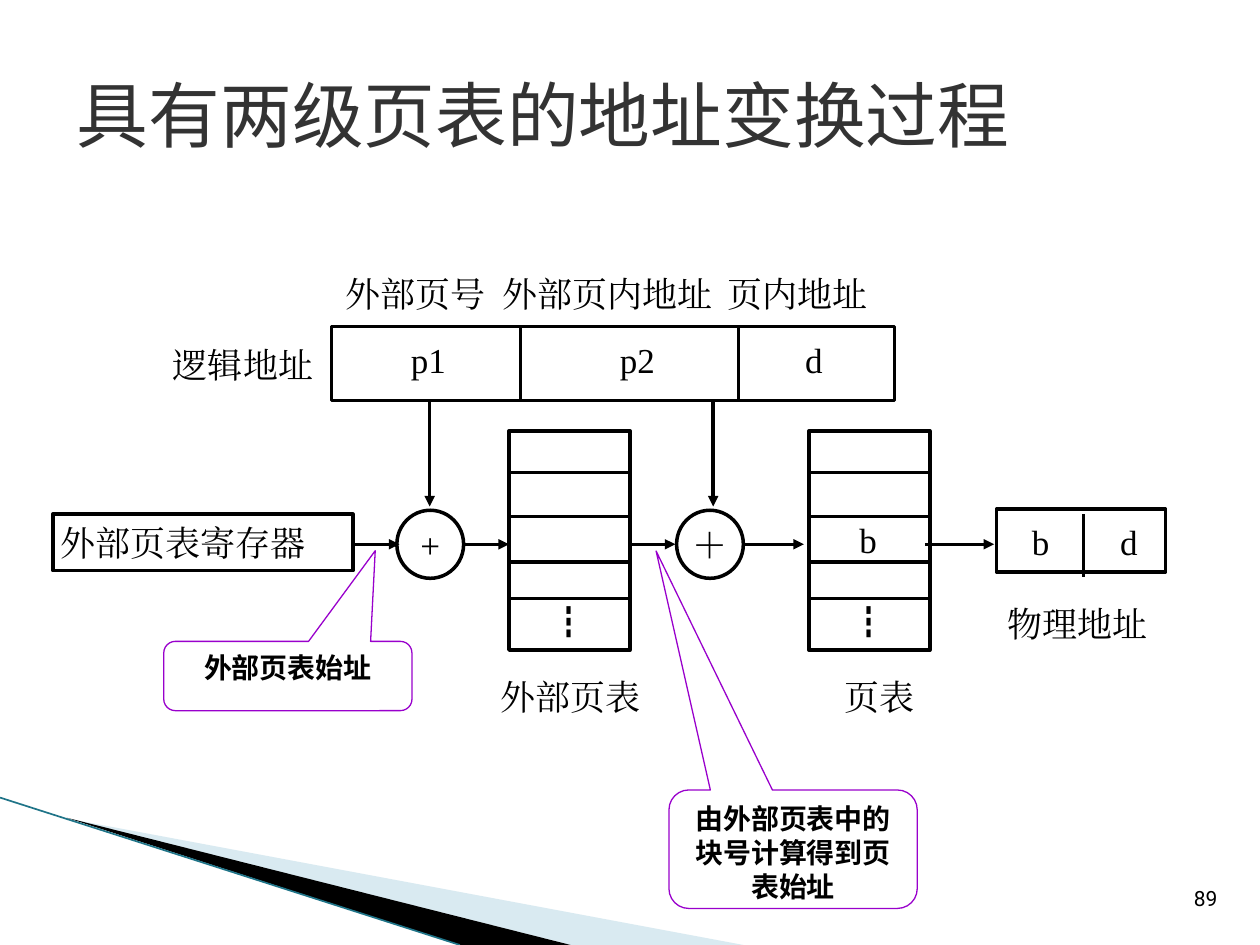
from lxml import etree
from pptx import Presentation
from pptx.dml.color import RGBColor
from pptx.enum.shapes import MSO_CONNECTOR, MSO_SHAPE
from pptx.enum.text import MSO_ANCHOR as ANCHOR, PP_ALIGN as ALIGN
from pptx.oxml.ns import qn
from pptx.util import Inches, Pt

C = {"ink": "000000", "title": "333333", "paper": "FFFFFF", "pale": "A0CBDC",
     "edge": "1F7488", "callout": "9900CC"}
SERIF, SANS = "Times New Roman", "Noto Sans CJK SC"


def write(s, text, font=SERIF, size=20, color="ink", bold=False, align=ALIGN.CENTER,
          anchor=ANCHOR.MIDDLE, inset=(0, 0, 0, 0), wrap=True):
    tf = s.text_frame
    tf.word_wrap = wrap
    tf.vertical_anchor = anchor
    tf.margin_left, tf.margin_top, tf.margin_right, tf.margin_bottom = map(Inches, inset)
    p = tf.paragraphs[0]
    p.alignment = align
    r = p.add_run()
    r.text = text
    r.font.name, r.font.size, r.font.bold = font, Pt(size), bold
    r.font.color.rgb = RGBColor.from_string(C[color])
    etree.SubElement(r.font._element, qn("a:ea"), typeface=font)


def line(x1, y1, x2, y2, color="ink", width=2, arrow=False):
    s = shapes.add_connector(MSO_CONNECTOR.STRAIGHT, *map(Inches, (x1, y1, x2, y2)))
    s.line.color.rgb = RGBColor.from_string(C[color])
    s.line.width = Pt(width)
    if arrow:
        etree.SubElement(s.line._get_or_add_ln(), qn("a:tailEnd"), type="triangle")
    etree.SubElement(s._element.spPr, qn("a:effectLst"))


prs = Presentation()
prs.slide_width, prs.slide_height = Inches(10), Inches(7.5)
slide = prs.slides.add_slide(prs.slide_layouts[5])
shapes = slide.shapes

wedges = [("pale", 40, [(0.55, 6.5), (5.9, 7.5), (4.53, 7.5)]),
          ("ink", 100, [(0.53, 6.49), (4.53, 7.5), (3.65, 7.5)])]
for color, opacity, points in wedges:
    start, *rest = [(Inches(x), Inches(y)) for x, y in points]
    fb = shapes.build_freeform(*start)
    fb.add_line_segments(rest)
    s = fb.convert_to_shape()
    s.shadow.inherit = False
    s.fill.solid()
    s.fill.fore_color.rgb = RGBColor.from_string(C[color])
    s.line.fill.background()
    if opacity < 100:
        rgb = s._element.spPr.find(qn("a:solidFill")).find(qn("a:srgbClr"))
        etree.SubElement(rgb, qn("a:alpha"), val=str(opacity * 1000))
line(0, 6.33, 3.65, 7.5, color="edge", width=0.95)

title = shapes.title
title.left, title.top, title.width, title.height = map(Inches, (0.51, 0.28, 9, 1.25))
write(title, "具有两级页表的地址变换过程", font=SANS, size=41, color="title",
      align=ALIGN.LEFT, inset=(0.1, 0.05, 0.1, 0.05))

TABLES = (4.04, 6.42)
TABLE_W = 0.96
boxes = [
    (MSO_SHAPE.RECTANGLE, 0.42, 4.08, 2.38, 0.45, "外部页表寄存器",
     dict(align=ALIGN.LEFT, inset=(0.06, 0, 0, 0))),
    (MSO_SHAPE.OVAL, 3.15, 4.05, 0.53, 0.54, "+", {}),
    (MSO_SHAPE.OVAL, 5.37, 4.05, 0.53, 0.54, "＋", dict(bold=True)),
    (MSO_SHAPE.RECTANGLE, 2.63, 2.59, 4.47, 0.59, "", {}),
    (MSO_SHAPE.RECTANGLE, 7.91, 4.04, 1.34, 0.5, "", {}),
]
boxes += [(MSO_SHAPE.RECTANGLE, x, 3.42, TABLE_W, 1.74, "", {}) for x in TABLES]
for kind, x, y, w, h, text, fmt in boxes:
    s = shapes.add_shape(kind, *map(Inches, (x, y, w, h)))
    s.shadow.inherit = False
    s.fill.solid()
    s.fill.fore_color.rgb = RGBColor.from_string(C["paper"])
    s.line.color.rgb = RGBColor.from_string(C["ink"])
    s.line.width = Pt(2)
    if text:
        write(s, text, **fmt)

for x in TABLES:
    for y in (3.75, 4.1, 4.46, 4.75):
        line(x, y, x + TABLE_W, y)
for x in (4.13, 5.86):
    line(x, 2.59, x, 3.18)
line(8.6, 4.08, 8.6, 4.58)

for x in (3.41, 5.66):
    line(x, 3.18, x, 4.02, arrow=True)
for x1, x2 in ((2.82, 3.17), (3.67, 4.04), (4.99, 5.36), (5.9, 6.38), (7.34, 7.89)):
    line(x1, 4.32, x2, 4.32, arrow=True)

labels = [
    ("外部页号", 3.3, 2.33, 1.2), ("外部页内地址", 4.82, 2.33, 1.7), ("页内地址", 6.33, 2.33, 1.2),
    ("逻辑地址", 1.93, 2.89, 1.2), ("p1", 3.4, 2.85, 0.6), ("p2", 5.06, 2.85, 0.6),
    ("d", 6.46, 2.85, 0.6), ("b", 6.89, 4.28, 0.6), ("b", 8.26, 4.3, 0.4), ("d", 8.96, 4.3, 0.4),
    ("┇", 4.52, 4.93, 0.4), ("┇", 6.9, 4.93, 0.4),
    ("外部页表", 4.53, 5.53, 1.3), ("页表", 6.98, 5.53, 1.1), ("物理地址", 8.55, 4.95, 1.2),
]
for text, cx, cy, w in labels:
    s = shapes.add_textbox(*map(Inches, (cx - w / 2, cy - 0.18, w, 0.36)))
    write(s, text, font=SANS if text == "┇" else SERIF, wrap=False)

callouts = [
    (1.3, 5.09, 0.55, (0.352, -1.808, 0.167), "外部页表始址"),
    (5.31, 6.27, 0.94, (-0.552, -2.518, 0.167), "由外部页表中的块号计算得到页表始址"),
]
for x, y, h, adjust, text in callouts:
    s = shapes.add_shape(MSO_SHAPE.ROUNDED_RECTANGULAR_CALLOUT, *map(Inches, (x, y, 1.97, h)))
    for i, value in enumerate(adjust):
        s.adjustments[i] = value
    s.shadow.inherit = False
    s.fill.background()
    s.line.color.rgb = RGBColor.from_string(C["callout"])
    s.line.width = Pt(0.75)
    write(s, text, font="Karla", size=16, bold=True, anchor=ANCHOR.TOP,
          inset=(0.1, 0.05, 0.1, 0.05))

s = shapes.add_textbox(*map(Inches, (9.37, 6.98, 0.4, 0.3)))
write(s, "89", font="Roboto", size=12, wrap=False)

prs.save("out.pptx")
